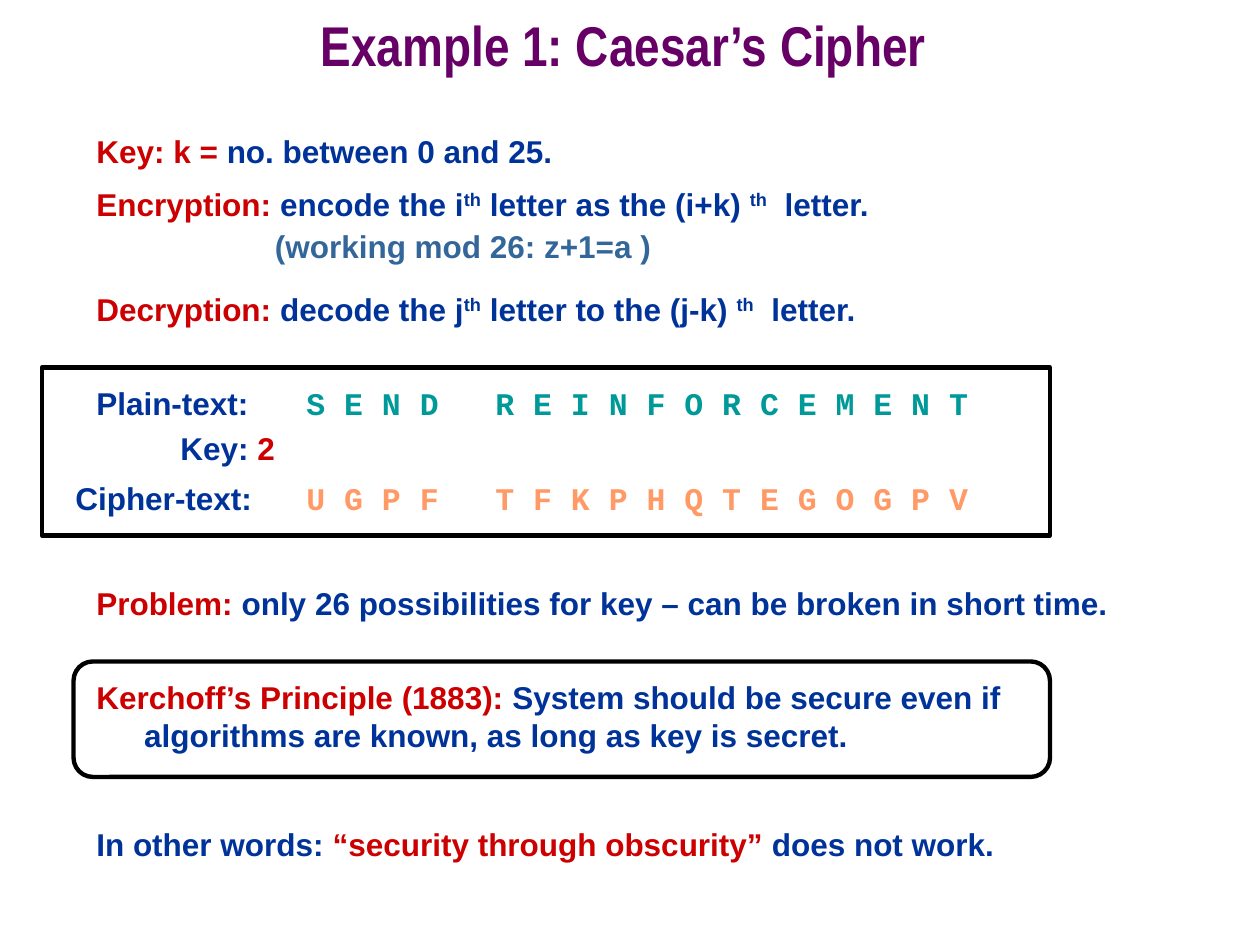
import dataclasses

import pptx
import pptx.dml.color
import pptx.enum.shapes
import pptx.enum.text
import pptx.oxml
import pptx.oxml.ns
import pptx.util

RGBColor = pptx.dml.color.RGBColor
PURPLE = RGBColor(0x66, 0x00, 0x66)
RED = RGBColor(0xCC, 0x00, 0x00)
NAVY = RGBColor(0x00, 0x33, 0x99)
STEEL = RGBColor(0x33, 0x66, 0x99)
TEAL = RGBColor(0x00, 0x99, 0x99)
ORANGE = RGBColor(0xFF, 0x99, 0x66)
BLACK = RGBColor(0x00, 0x00, 0x00)

CELL = pptx.util.Inches(1) // 12  # the slide is 120 columns by 90 rows
COLUMNS, ROWS = 120, 90
LEFT, WIDTH = 8, 103  # shared by all full-width statements
HANGING = pptx.util.Inches(0.38)


@dataclasses.dataclass(frozen=True)
class Run:
    text: str
    color: RGBColor = NAVY
    superscript: bool = False


@dataclasses.dataclass(frozen=True)
class Line:
    row: float
    runs: tuple[Run, ...]
    column: float = LEFT
    width: float = WIDTH
    height: float = 6
    font: str = "Arial"
    hanging: int = HANGING


@dataclasses.dataclass(frozen=True)
class Frame:
    column: float
    row: float
    width: float
    height: float
    outline: pptx.enum.shapes.MSO_SHAPE


def box(column: float, row: float, width: float, height: float) -> list[int]:
    return [round(cells * CELL) for cells in (column, row, width, height)]


def write(paragraph, runs: tuple[Run, ...], *, font: str = "Arial", size: float = 18) -> None:
    for part in runs:
        run = paragraph.add_run()
        run.text = part.text
        run.font.name = font
        run.font.size = pptx.util.Pt(size)
        run.font.bold = True
        run.font.color.rgb = part.color
        if part.superscript:
            run.font._element.set("baseline", "30000")


def add_line(slide, line: Line) -> None:
    frame = slide.shapes.add_textbox(
        *box(line.column, line.row, line.width, line.height)).text_frame
    frame.word_wrap = True
    paragraph = frame.paragraphs[0]
    properties = paragraph._p.get_or_add_pPr()
    properties.set("marL", str(line.hanging))
    properties.set("indent", str(-line.hanging))
    # Space before is a share of the text size
    before = pptx.oxml.parse_xml(
        f'<a:spcBef {pptx.oxml.ns.nsdecls("a")}><a:spcPct val="20000"/></a:spcBef>')
    properties.append(before)
    write(paragraph, line.runs, font=line.font)


def add_title(slide, text: str) -> None:
    frame = slide.shapes.add_textbox(*box(0, 0, COLUMNS, 10)).text_frame
    frame.word_wrap = True
    frame.vertical_anchor = pptx.enum.text.MSO_ANCHOR.MIDDLE
    paragraph = frame.paragraphs[0]
    paragraph.alignment = pptx.enum.text.PP_ALIGN.CENTER
    paragraph.line_spacing = 0.7
    write(paragraph, (Run(text, PURPLE),), font="Arial Narrow", size=32)


def add_frame(slide, frame: Frame) -> None:
    shape = slide.shapes.add_shape(
        frame.outline, *box(frame.column, frame.row, frame.width, frame.height))
    shape.shadow.inherit = False
    shape.fill.background()
    shape.line.color.rgb = BLACK
    shape.line.width = pptx.util.Pt(2.5)


def shift_rule(row: float, label: str, start: str, target: str) -> Line:
    """A rule that moves one letter to another, with raised ordinals."""
    ordinal = Run("th", superscript=True)
    return Line(row, (Run(label, RED), Run(start), ordinal,
                      Run(target), ordinal, Run("  letter.")))


def spaced_letters(row: float, message: str, color: RGBColor) -> Line:
    return Line(row, (Run(" ".join(message), color),), column=28, width=67,
                height=5, font="Courier New")


LINES = (
    # Rules of the cipher
    Line(12, (Run("Key: k = ", RED), Run("no. between 0 and 25.")), hanging=0),
    shift_rule(17, "Encryption:", " encode the i", " letter as the (i+k) "),
    Line(21, (Run("(working mod 26: z+1=a )", STEEL),), column=25, width=40),
    shift_rule(27, "Decryption:", " decode the j", " letter to the (j-k) "),
    # Worked example
    spaced_letters(36, "SEND REINFORCEMENT", TEAL),
    Line(36, (Run("Plain-text:"),), width=18),
    Line(40.3, (Run("Key:"), Run(" 2", RED)), column=16, width=14),
    Line(45, (Run("Cipher-text:"),), column=6, width=24),
    spaced_letters(45, "UGPF TFKPHQTEGOGPV", ORANGE),
    # Lessons
    Line(55, (Run("Problem:", RED),
              Run(" only 26 possibilities for key – can be broken in short time."))),
    Line(64, (Run("Kerchoff’s Principle (1883):", RED),
              Run(" System should be secure even if algorithms are known,"
                  " as long as key is secret.")), height=9),
    Line(78, (Run("In other words: "), Run("“security through obscurity”", RED),
              Run(" does not work.")), height=9),
)

FRAMES = (
    Frame(4, 35, 96, 16, pptx.enum.shapes.MSO_SHAPE.RECTANGLE),
    Frame(7, 63, 93, 11, pptx.enum.shapes.MSO_SHAPE.ROUNDED_RECTANGLE),
)


def main() -> None:
    deck = pptx.Presentation()
    deck.slide_width, deck.slide_height = COLUMNS * CELL, ROWS * CELL
    slide = deck.slides.add_slide(deck.slide_layouts[6])
    add_title(slide, "Example 1: Caesar’s Cipher ")
    for line in LINES:
        add_line(slide, line)
    for frame in FRAMES:
        add_frame(slide, frame)
    deck.save("out.pptx")


if __name__ == "__main__":
    main()
